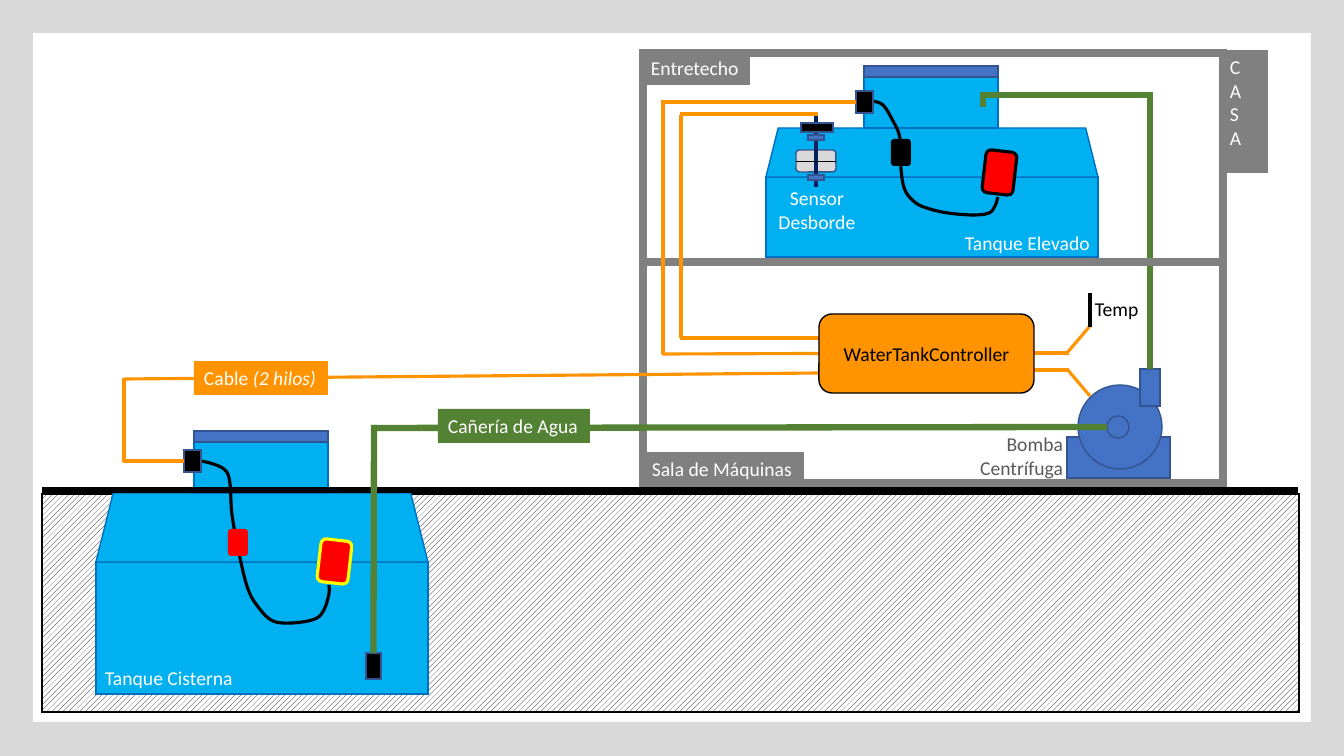
import itertools

import lxml.etree
import pptx
import pptx.dml.color
import pptx.enum.dml
import pptx.enum.shapes
import pptx.enum.text
import pptx.oxml.ns
import pptx.util

SLIDE_SIZE = (1344, 756)
EMU_PER_PX = 12192000 / 1344
FONT = "Calibri"
FONT_SIZE = 14
CURVE_STEPS = 6

COLORS = {
    "black": "000000", "white": "FFFFFF", "wall": "808080", "frame": "D9D9D9",
    "water": "00B0F0", "tank_edge": "0070C0", "metal": "4472C4", "metal_edge": "325491",
    "pipe": "548235", "wire": "FF9300", "float": "FF0000", "alert": "FFFF00",
    "rod": "002060", "caption": "595959",
}

SHAPE = pptx.enum.shapes.MSO_SHAPE
ALIGN = pptx.enum.text.PP_ALIGN

# name: kind, box, fill, line, line width, rotation
STRUCTURE = {
    "soil": (SHAPE.RECTANGLE, (42, 494, 1257, 218), "hatch", "black", 1, 0),
    "house": (SHAPE.RECTANGLE, (643, 53, 580, 430), None, "wall", 6, 0),
    "pump base": (SHAPE.RECTANGLE, (1067, 437, 103, 41), "metal", "metal_edge", 1, 0),
    "pump volute": (SHAPE.OVAL, (1078, 385, 84, 84), "metal", "metal_edge", 1, 0),
    "pump outlet": (SHAPE.RECTANGLE, (1140, 369, 20, 37), "metal", "metal_edge", 1, 0),
    "pump hub": (SHAPE.OVAL, (1107, 416, 22, 22), "metal", "metal_edge", 1, 0),
}

# left, roof top, roof height, body height
TANKS = {"cistern": (96, 493, 69, 132), "elevated": (766, 128, 49, 80)}
TANK_WIDTH = 332
NECK_OFFSET, NECK_WIDTH, NECK_HEIGHT, LID_HEIGHT = 98, 134, 51, 11

FITTINGS = {
    "foot valve": (SHAPE.RECTANGLE, (366, 653, 15, 26), "black", "metal_edge", 1, 0),
    "elevated float": (SHAPE.ROUNDED_RECTANGLE, (984, 151, 31, 43), "float", "black", 2.25, 6.6),
    "cistern float": (SHAPE.ROUNDED_RECTANGLE, (319, 540, 31, 43), "float", "alert", 2.25, 6.6),
    "elevated box": (SHAPE.RECTANGLE, (856, 91, 17, 22), "black", "metal_edge", 1, 0),
    "cistern box": (SHAPE.RECTANGLE, (184, 450, 17, 22), "black", "metal_edge", 1, 0),
    "cistern weight": (SHAPE.ROUNDED_RECTANGLE, (228, 529, 20, 27), "float", None, 0, 0),
    "elevated weight": (SHAPE.ROUNDED_RECTANGLE, (891, 139, 20, 27), "black", None, 0, 0),
    "overflow float": (SHAPE.ROUNDED_RECTANGLE, (796, 150, 40, 22), "frame", "metal_edge", 1, 0),
    "controller": (SHAPE.ROUNDED_RECTANGLE, (819, 314, 215, 79), "wire", "black", 1, 0),
}

SENSOR_STOPS = {
    "lower stop": (SHAPE.RECTANGLE, (808, 175, 16, 5), "metal", "metal_edge", 1, 0),
    "upper stop": (SHAPE.RECTANGLE, (808, 135, 16, 5), "metal", "metal_edge", 1, 0),
    "sensor cap": (SHAPE.RECTANGLE, (801, 123, 32, 9), "black", "metal_edge", 1, 0),
}

FRAME = {
    "top": (SHAPE.RECTANGLE, (0, 0, 1344, 33), "frame", None, 0, 0),
    "bottom": (SHAPE.RECTANGLE, (0, 722, 1344, 34), "frame", None, 0, 0),
    "left": (SHAPE.RECTANGLE, (0, 33, 33, 689), "frame", None, 0, 0),
    "right": (SHAPE.RECTANGLE, (1311, 33, 33, 689), "frame", None, 0, 0),
}

# colour, width, segments as (start, end, start joint, end joint)
PIPES = [
    ("black", 4.5, [((42, 490), (1298, 490), None, None)]),
    ("pipe", 4.5, [
        ((374, 425), (374, 653), None, ("foot valve", 0)),
        ((1150, 92), (1150, 369), None, ("pump outlet", 0)),
        ((980, 95), (1149, 95), None, None),
        ((983, 93), (983, 107), None, None),
        ((374, 428), (1107, 427), None, None),
    ]),
    ("wall", 6, [((643, 262), (1223, 262), None, None)]),
    ("rod", 3, [((816, 114), (816, 187), None, None)]),
    ("black", 0.5, [((796, 161), (836, 161), ("overflow float", 1), ("overflow float", 3))]),
]

WIRES = [
    ("wire", 2.25, [
        ((856, 102), (663, 102), ("elevated box", 1), None),
        ((818, 114), (680, 114), None, None),
        ((184, 461), (123, 461), ("cistern box", 1), None),
        ((124, 462), (124, 378), None, None),
        ((819, 373), (124, 379), None, None),
        ((819, 354), (662, 354), ("controller", 1), None),
        ((823, 338), (680, 338), None, None),
        ((681, 338), (681, 115), None, None),
        ((663, 354), (663, 100), None, None),
        ((1069, 370), (944, 370), None, None),
        ((1090, 396), (1067, 369), None, None),
        ((1069, 353), (1029, 353), None, None),
        ((1090, 326), (1067, 353), None, None),
    ]),
    ("black", 3, [((1090, 293), (1090, 327), None, None)]),
]

FLOAT_CABLES = [
    [(193, 460), (210, 463), (225, 470), (230, 483), (232, 514), (239, 553), (248, 589),
     (259, 608), (273, 621), (293, 623), (315, 619), (324, 610), (329, 594), (329, 585)],
    [(873, 101), (883, 105), (892, 119), (900, 138), (901, 168), (905, 190), (916, 203),
     (930, 209), (948, 213), (973, 215), (989, 213), (995, 206), (998, 197)],
]

# paragraphs of runs, box, fill, text colour, alignment, direction
LABELS = [
    ([["Bomba"], ["Centrífuga"]], (969, 427, 104, 57), None, "caption", ALIGN.RIGHT, None),
    ([["Tanque Elevado"]], (955, 226, 147, 34), None, "white", ALIGN.LEFT, None),
    ([["Tanque Cisterna"]], (95, 661, 149, 34), None, "white", ALIGN.LEFT, None),
    ([["Entretecho"]], (641, 51, 109, 34), "wall", "white", ALIGN.LEFT, None),
    ([["Sala de Máquinas"]], (642, 452, 162, 34), "wall", "white", ALIGN.LEFT, None),
    ([["Cañería de Agua"]], (438, 409, 152, 34), "pipe", "white", ALIGN.LEFT, None),
    ([["Cable ", "(2 hilos)"]], (194, 361, 134, 34), "wire", "white", ALIGN.LEFT, None),
    ([["CASA"]], (1220, 50, 48, 123), "wall", "white", ALIGN.LEFT, "wordArtVert"),
    ([["Sensor"], ["Desborde"]], (768, 181, 98, 57), None, "white", ALIGN.CENTER, None),
    ([["Temp"]], (1085, 292, 65, 34), None, "black", ALIGN.LEFT, None),
]


def emu(*lengths):
    return [round(length * EMU_PER_PX) for length in lengths]


def rgb(name):
    return pptx.dml.color.RGBColor.from_string(COLORS[name])


def paint(shape, fill, line, width):
    shape.shadow.inherit = False
    if fill == "hatch":
        shape.fill.patterned()
        shape.fill.pattern = pptx.enum.dml.MSO_PATTERN.WIDE_UPWARD_DIAGONAL
        shape.fill.fore_color.rgb = rgb("black")
        shape.fill.back_color.rgb = rgb("white")
    elif fill:
        shape.fill.solid()
        shape.fill.fore_color.rgb = rgb(fill)
    else:
        shape.fill.background()
    if line:
        shape.line.color.rgb = rgb(line)
        shape.line.width = pptx.util.Pt(width)
        outline = shape._element.spPr.find(pptx.oxml.ns.qn("a:ln"))
        lxml.etree.SubElement(outline, pptx.oxml.ns.qn("a:miter"), lim="800000")
    else:
        shape.line.fill.background()


def draw_shapes(slide, parts):
    drawn = {}
    for name, (kind, box, fill, line, width, rotation) in parts.items():
        shape = slide.shapes.add_shape(kind, *emu(*box))
        if rotation:
            shape.rotation = rotation
        paint(shape, fill, line, width)
        drawn[name] = shape
    return drawn


def tank_parts(left, roof_top, roof_height, body_height):
    neck_left, neck_top = left + NECK_OFFSET, roof_top - NECK_HEIGHT
    boxes = {
        "body": (SHAPE.RECTANGLE, (left, roof_top + roof_height, TANK_WIDTH, body_height)),
        "roof": (SHAPE.TRAPEZOID, (left, roof_top, TANK_WIDTH, roof_height)),
        "neck": (SHAPE.RECTANGLE, (neck_left, neck_top, NECK_WIDTH, NECK_HEIGHT)),
    }
    parts = {part: (kind, box, "water", "tank_edge", 1, 0)
             for part, (kind, box) in boxes.items()}
    lid = (neck_left, neck_top - LID_HEIGHT, NECK_WIDTH, LID_HEIGHT)
    parts["lid"] = (SHAPE.RECTANGLE, lid, "metal", "metal_edge", 1, 0)
    return parts


def draw_lines(slide, groups, anchors):
    for color, width, segments in groups:
        for start, end, start_joint, end_joint in segments:
            connector = slide.shapes.add_connector(
                pptx.enum.shapes.MSO_CONNECTOR.STRAIGHT, *emu(*start, *end))
            connector.line.color.rgb = rgb(color)
            connector.line.width = pptx.util.Pt(width)
            lxml.etree.SubElement(connector._element.spPr, pptx.oxml.ns.qn("a:effectLst"))
            if start_joint:
                connector.begin_connect(anchors[start_joint[0]], start_joint[1])
            if end_joint:
                connector.end_connect(anchors[end_joint[0]], end_joint[1])


def smooth_path(points):
    padded = [points[0], *points, points[-1]]
    path = [points[0]]
    for index, step in itertools.product(range(len(points) - 1), range(1, CURVE_STEPS + 1)):
        t = step / CURVE_STEPS
        path.append(tuple(
            b + ((c - a) * t + (2 * a - 5 * b + 4 * c - d) * t ** 2
                 + (3 * b - a - 3 * c + d) * t ** 3) / 2
            for a, b, c, d in zip(*padded[index:index + 4])))
    return path


def draw_cable(slide, points):
    path = [emu(*point) for point in smooth_path(points)]
    builder = slide.shapes.build_freeform(*path[0])
    builder.add_line_segments(path[1:], close=False)
    paint(builder.convert_to_shape(), None, "black", 2.25)


def write(shape, paragraphs, color, alignment):
    frame = shape.text_frame
    frame.word_wrap = False
    for index, runs in enumerate(paragraphs):
        paragraph = frame.paragraphs[0] if index == 0 else frame.add_paragraph()
        paragraph.alignment = alignment
        for position, text in enumerate(runs):
            run = paragraph.add_run()
            run.text = text
            run.font.name = FONT
            run.font.size = pptx.util.Pt(FONT_SIZE)
            run.font.color.rgb = rgb(color)
            run.font.italic = True if position else None


def draw_label(slide, paragraphs, box, fill, color, alignment, direction):
    label = slide.shapes.add_textbox(*emu(*box))
    if fill:
        label.fill.solid()
        label.fill.fore_color.rgb = rgb(fill)
    write(label, paragraphs, color, alignment)
    if direction:
        label.text_frame._txBody.bodyPr.set("vert", direction)


def main():
    presentation = pptx.Presentation()
    presentation.slide_width, presentation.slide_height = emu(*SLIDE_SIZE)
    slide = presentation.slides.add_slide(presentation.slide_layouts[6])
    anchors = draw_shapes(slide, STRUCTURE)
    for measures in TANKS.values():
        draw_shapes(slide, tank_parts(*measures))
    for points in FLOAT_CABLES:
        draw_cable(slide, points)
    anchors.update(draw_shapes(slide, FITTINGS))
    controller = anchors["controller"]
    write(controller, [["WaterTankController"]], "black", ALIGN.CENTER)
    draw_lines(slide, PIPES, anchors)
    draw_shapes(slide, SENSOR_STOPS)
    draw_shapes(slide, FRAME)
    draw_lines(slide, WIRES, anchors)
    slide.shapes._spTree.append(controller._element)
    for label in LABELS:
        draw_label(slide, *label)
    presentation.save("out.pptx")


if __name__ == "__main__":
    main()
